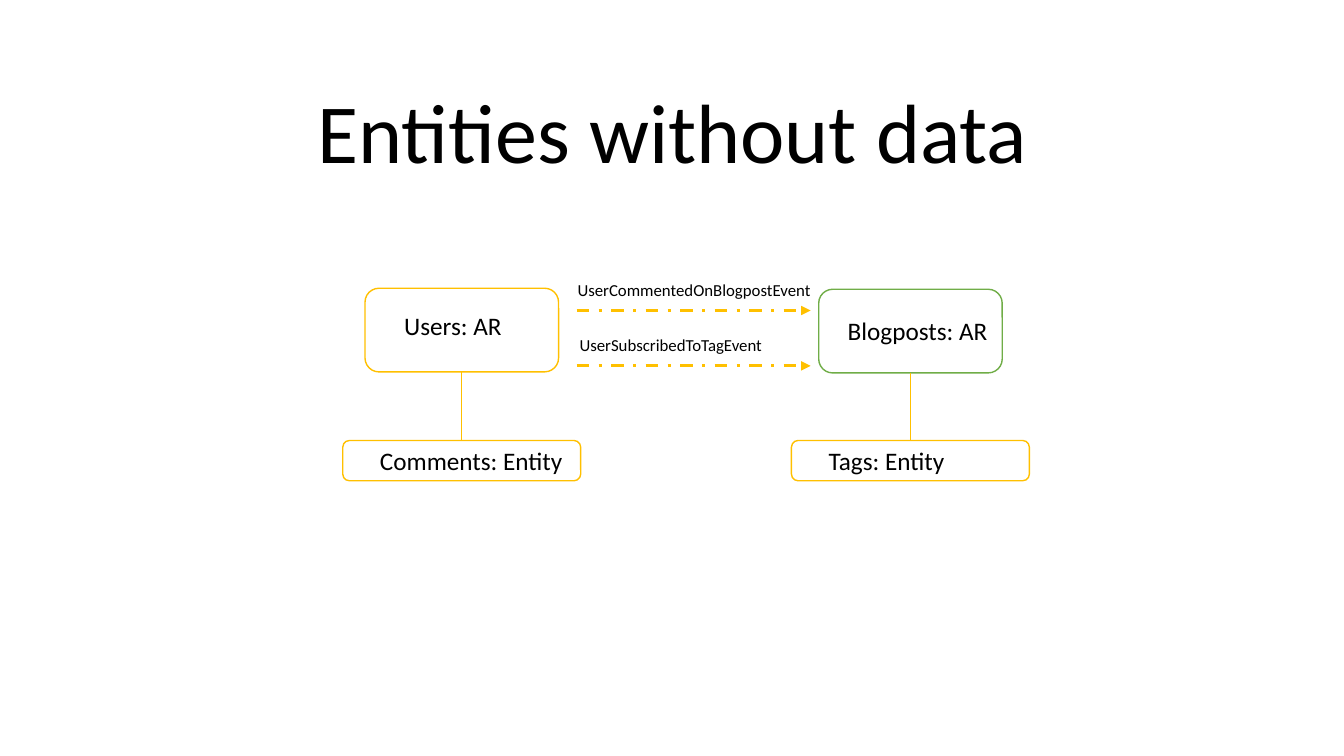
from dataclasses import dataclass

import pptx
import pptx.dml.color
import pptx.enum.dml
import pptx.enum.shapes
import pptx.enum.text
import pptx.oxml.ns
import pptx.util
from lxml import etree

PX = 9144  # EMU per px, 100 px to the inch
FONT = "Calibri"
BLACK, WHITE, AMBER, GREEN = "000000", "FFFFFF", "FFC000", "70AD47"
BOTTOM, TOP = 2, 0


@dataclass(frozen=True)
class Area:
    left: int
    top: int
    width: int
    height: int

    def emu(self) -> tuple[int, int, int, int]:
        return self.left * PX, self.top * PX, self.width * PX, self.height * PX


@dataclass(frozen=True)
class Node:
    text: str
    box: Area
    label: Area
    outline: str = AMBER


@dataclass(frozen=True)
class Event:
    text: str
    label: Area
    arrow_y: int


USERS = Node("Users: AR", Area(362, 286, 192, 83), Area(391, 303, 134, 40))
COMMENTS = Node("Comments: Entity", Area(340, 437, 236, 40), Area(367, 437, 215, 40))
BLOGPOSTS = Node("Blogposts: AR", Area(812, 287, 182, 83), Area(831, 308, 163, 40), GREEN)
TAGS = Node("Tags: Entity", Area(785, 437, 236, 40), Area(812, 437, 182, 40))
OWNERSHIPS = [(USERS, COMMENTS), (BLOGPOSTS, TAGS)]

EVENTS = [
    Event("UserCommentedOnBlogpostEvent", Area(563, 273, 267, 30), 308),
    Event("UserSubscribedToTagEvent", Area(565, 327, 267, 30), 363),
]
ARROW_START, ARROW_END = 572, 804


def color(value: str) -> pptx.dml.color.RGBColor:
    return pptx.dml.color.RGBColor.from_string(value)


def add_run(paragraph, text: str, size: int) -> None:
    run = paragraph.add_run()
    run.text = text
    run.font.name = FONT
    run.font.size = pptx.util.Pt(size)
    run.font.color.rgb = color(BLACK)


def add_title(slide, text: str) -> None:
    title = slide.shapes.title
    title.left, title.top, title.width, title.height = Area(92, 40, 1150, 145).emu()
    frame = title.text_frame
    frame.word_wrap = True
    frame.auto_size = pptx.enum.text.MSO_AUTO_SIZE.NONE
    frame.vertical_anchor = pptx.enum.text.MSO_ANCHOR.BOTTOM
    paragraph = frame.paragraphs[0]
    paragraph.alignment = pptx.enum.text.PP_ALIGN.CENTER
    paragraph.line_spacing = 0.9
    add_run(paragraph, text, 60)


def add_label(slide, text: str, area: Area, size: int) -> None:
    frame = slide.shapes.add_textbox(*area.emu()).text_frame
    frame.word_wrap = True
    frame.auto_size = pptx.enum.text.MSO_AUTO_SIZE.SHAPE_TO_FIT_TEXT
    add_run(frame.paragraphs[0], text, size)


def add_node(slide, node: Node):
    rounded = pptx.enum.shapes.MSO_SHAPE.ROUNDED_RECTANGLE
    shape = slide.shapes.add_shape(rounded, *node.box.emu())
    shape.shadow.inherit = False
    shape.fill.solid()
    shape.fill.fore_color.rgb = color(WHITE)
    shape.line.color.rgb = color(node.outline)
    shape.line.width = pptx.util.Pt(1)
    add_label(slide, node.text, node.label, 18)
    return shape


def add_line(slide, start: tuple[int, int], end: tuple[int, int], width: float):
    straight = pptx.enum.shapes.MSO_CONNECTOR.STRAIGHT
    connector = slide.shapes.add_connector(straight, *(value * PX for value in start + end))
    connector.line.color.rgb = color(AMBER)
    connector.line.width = pptx.util.Pt(width)
    etree.SubElement(connector._element.spPr, pptx.oxml.ns.qn("a:effectLst"))
    return connector


def add_ownership(slide, owner: Node, owned: Node) -> None:
    """Draw two nodes and the line that joins them."""
    owner_shape, owned_shape = add_node(slide, owner), add_node(slide, owned)
    connector = add_line(slide, (0, 0), (0, 0), 0.5)
    connector.begin_connect(owner_shape, BOTTOM)
    connector.end_connect(owned_shape, TOP)


def add_event(slide, event: Event) -> None:
    add_label(slide, event.text, event.label, 12)
    arrow = add_line(slide, (ARROW_START, event.arrow_y), (ARROW_END, event.arrow_y), 2.25)
    arrow.line.dash_style = pptx.enum.dml.MSO_LINE.DASH_DOT
    outline = arrow.line._get_or_add_ln()
    etree.SubElement(outline, pptx.oxml.ns.qn("a:tailEnd"), type="triangle")


def main() -> None:
    presentation = pptx.Presentation()
    presentation.slide_width, presentation.slide_height = 1333 * PX, 750 * PX
    slide = presentation.slides.add_slide(presentation.slide_layouts.get_by_name("Title Only"))
    add_title(slide, "Entities without data")
    for owner, owned in OWNERSHIPS:
        add_ownership(slide, owner, owned)
    for event in EVENTS:
        add_event(slide, event)
    presentation.save("out.pptx")


if __name__ == "__main__":
    main()
